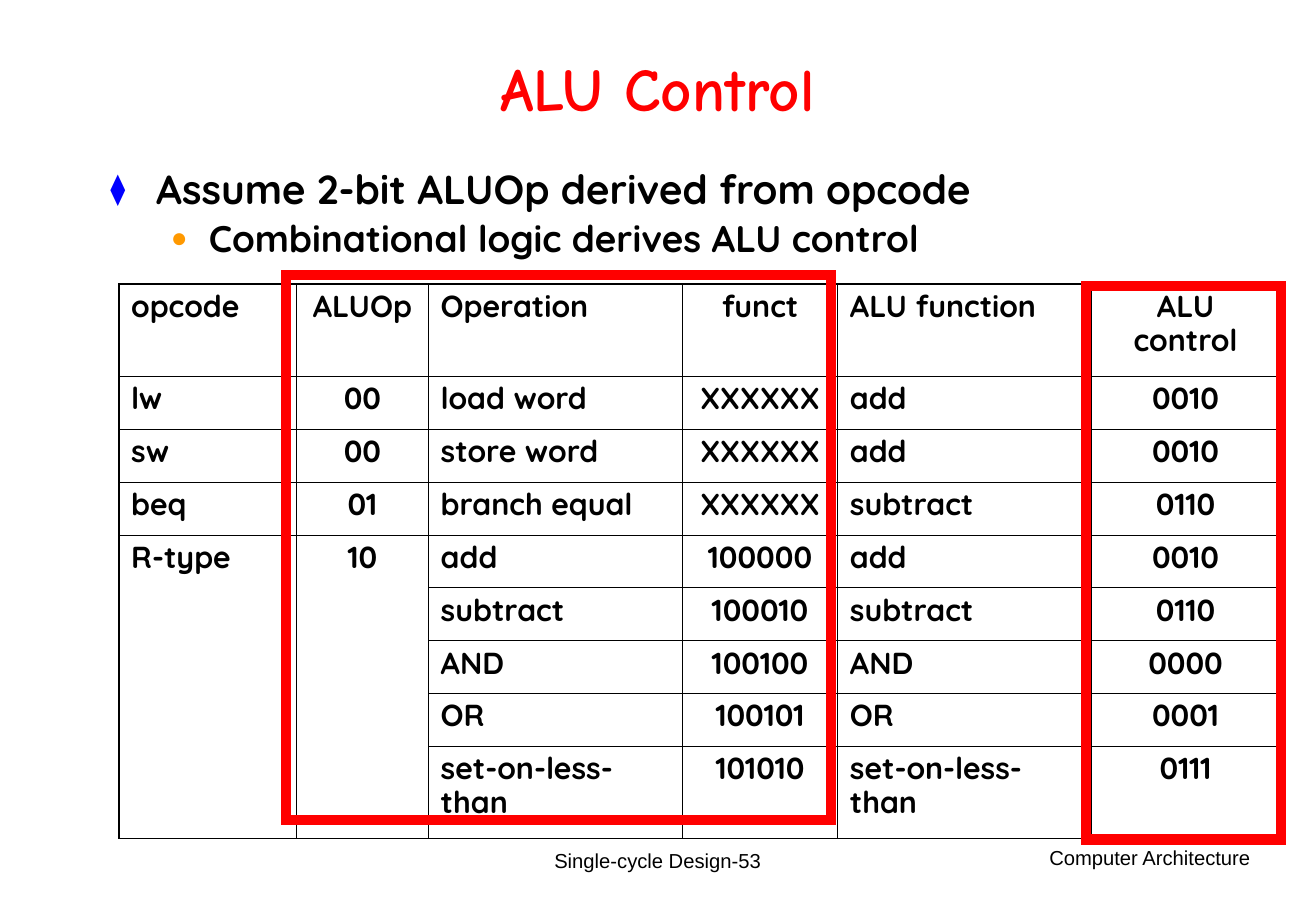
from dataclasses import dataclass

from lxml import etree
from pptx import Presentation
from pptx.dml.color import RGBColor
from pptx.enum.shapes import MSO_SHAPE
from pptx.enum.text import MSO_ANCHOR, PP_ALIGN
from pptx.oxml.ns import qn
from pptx.util import Pt

LEFT, CENTER, RIGHT = PP_ALIGN.LEFT, PP_ALIGN.CENTER, PP_ALIGN.RIGHT
TOP, MIDDLE = MSO_ANCHOR.TOP, MSO_ANCHOR.MIDDLE
RECT = MSO_SHAPE.RECTANGLE


@dataclass(frozen=True)
class Theme:
    ink: str = "000000"
    red: str = "FF0000"
    diamond: str = "0000FF"
    dot: str = "FF9900"
    title_font: str = "Comic Neue"
    body_font: str = "Quicksand"
    footer_font: str = "Arial"
    title: float = 36
    bullet: float = 24
    sub_bullet: float = 22
    cell: float = 18
    footer: float = 12
    outer_line: float = 1.08
    header_line: float = 0.75
    inner_line: float = 0.45
    frame_line: float = 6


T = Theme()
TITLE = dict(name=T.title_font, size=Pt(T.title), bold=True)
BULLET = dict(name=T.body_font, size=Pt(T.bullet), bold=True)
SUB_BULLET = BULLET | dict(size=Pt(T.sub_bullet))
CELL = BULLET | dict(size=Pt(T.cell))
FOOTER = dict(name=T.footer_font, size=Pt(T.footer), bold=False)

BULLETS = [  # text, format, mark, mark colour, margin, hanging, space before
    ("Assume 2-bit ALUOp derived from opcode", BULLET, "⧫", T.diamond, 27.2, 27.2, 0),
    ("Combinational logic derives ALU control", SUB_BULLET, "●", T.dot, 58.5, 22.5, 4.1),
]
ROWS = [
    ("opcode", "ALUOp", "Operation", "funct", "ALU function", "ALU control"),
    ("lw", "00", "load word", "XXXXXX", "add", "0010"),
    ("sw", "00", "store word", "XXXXXX", "add", "0010"),
    ("beq", "01", "branch equal", "XXXXXX", "subtract", "0110"),
    ("R-type", "10", "add", "100000", "add", "0010"),
    ("", "", "subtract", "100010", "subtract", "0110"),
    ("", "", "AND", "100100", "AND", "0000"),
    ("", "", "OR", "100101", "OR", "0001"),
    ("", "", "set-on-less-than", "101010", "set-on-less-than", "0111"),
]
R_TYPE_ROW = 4
COL_WIDTHS = [105.1, 78.5, 150.5, 92.2, 150.5, 111.6]
TALL_ROW, ROW = 54.6, 31.35


def add_text(p, text, fmt, color=T.ink, align=LEFT, spacing=None):
    p.alignment = align
    if spacing:
        p.line_spacing = spacing
    r = p.add_run()
    r.text = text
    for key, value in fmt.items():
        setattr(r.font, key, value)
    r.font.color.rgb = RGBColor.from_string(color)


def add_box(s, box, anchor=TOP):
    tf = s.shapes.add_textbox(*map(Pt, box)).text_frame
    tf.word_wrap = True
    tf.vertical_anchor = anchor
    return tf


def add_line_of_text(s, box, text, fmt, anchor=TOP, **options):
    add_text(add_box(s, box, anchor).paragraphs[0], text, fmt, **options)


def set_bullet(p, mark, color, margin, hanging):
    pPr = p._p.get_or_add_pPr()
    pPr.set("marL", str(Pt(margin)))
    pPr.set("indent", str(-Pt(hanging)))
    clr = etree.SubElement(pPr, qn("a:buClr"))
    etree.SubElement(clr, qn("a:srgbClr"), val=color)
    etree.SubElement(pPr, qn("a:buSzPct"), val="75000")
    etree.SubElement(pPr, qn("a:buFont"), typeface=T.footer_font)
    etree.SubElement(pPr, qn("a:buChar"), char=mark)


def add_bullets(s, box):
    tf = add_box(s, box)
    for i, (text, fmt, mark, color, margin, hanging, before) in enumerate(BULLETS):
        p = tf.add_paragraph() if i else tf.paragraphs[0]
        p.level = i
        set_bullet(p, mark, color, margin, hanging)
        if before:
            p.space_before = Pt(before)
        add_text(p, text, fmt, spacing=0.9)


def set_borders(cell, widths):
    """Draw the left, right, top and bottom edges, in that order."""
    tcPr = cell._tc.get_or_add_tcPr()
    for i, (side, width) in enumerate(zip("LRTB", widths)):
        ln = etree.Element(qn(f"a:ln{side}"), w=str(Pt(width)))
        fill = etree.SubElement(ln, qn("a:solidFill"))
        etree.SubElement(fill, qn("a:srgbClr"), val=T.ink)
        tcPr.insert(i, ln)


def border_widths(i, j):
    last_row, last_col = len(ROWS) - 1, len(COL_WIDTHS) - 1
    inner, outer = T.inner_line, T.outer_line
    left = outer if j == 0 else inner
    right = outer if j == last_col else inner
    top = {0: outer, 1: T.header_line}.get(i, inner)
    bottom = {0: T.header_line, last_row: outer}.get(i, inner)
    if i == R_TYPE_ROW and j < 2:
        bottom = outer
    return left, right, top, bottom


def add_alu_table(s, left, top):
    last = len(ROWS) - 1
    heights = [TALL_ROW if i in (0, last) else ROW for i in range(len(ROWS))]
    table = s.shapes.add_table(len(ROWS), len(COL_WIDTHS), Pt(left), Pt(top),
                               Pt(sum(COL_WIDTHS)), Pt(sum(heights))).table
    table.first_row = table.horz_banding = False
    for col, width in zip(table.columns, COL_WIDTHS):
        col.width = Pt(width)
    for row, height in zip(table.rows, heights):
        row.height = Pt(height)
    for i, texts in enumerate(ROWS):
        for j, text in enumerate(texts):
            cell = table.cell(i, j)
            cell.fill.background()
            set_borders(cell, border_widths(i, j))
            if text:
                add_text(cell.text_frame.paragraphs[0], text, CELL,
                         align=CENTER if j % 2 else LEFT, spacing=0.9)
    for j in (0, 1):
        table.cell(R_TYPE_ROW, j).merge(table.cell(last, j))


def add_frame(s, box):
    sp = s.shapes.add_shape(RECT, *map(Pt, box))
    sp.shadow.inherit = False
    sp.fill.background()
    sp.line.color.rgb = RGBColor.from_string(T.red)
    sp.line.width = Pt(T.frame_line)
    etree.SubElement(sp.line._get_or_add_ln(), qn("a:miter"), lim="800000")


def add_footers(s):
    add_line_of_text(s, (542.2, 497.7, 206.6, 36), "Computer Architecture", FOOTER,
                     align=RIGHT)
    add_line_of_text(s, (266.6, 492, 247, 36), "Single-cycle Design-53", FOOTER,
                     anchor=MIDDLE, align=CENTER)


def main():
    prs = Presentation()
    prs.slide_width, prs.slide_height = Pt(780.48), Pt(540)
    s = prs.slides.add_slide(prs.slide_layouts[6])
    add_footers(s)
    add_line_of_text(s, (58.3, 19.4, 663, 71.3), "ALU Control", TITLE, anchor=MIDDLE,
                     color=T.red, align=CENTER, spacing=0.85)
    add_bullets(s, (58.3, 97.2, 663, 400))
    add_alu_table(s, 70.6, 168.5)
    for box in [(169.4, 162.9, 323.3, 323.3), (644, 169.4, 116, 328.3)]:
        add_frame(s, box)
    prs.save("out.pptx")


if __name__ == "__main__":
    main()
